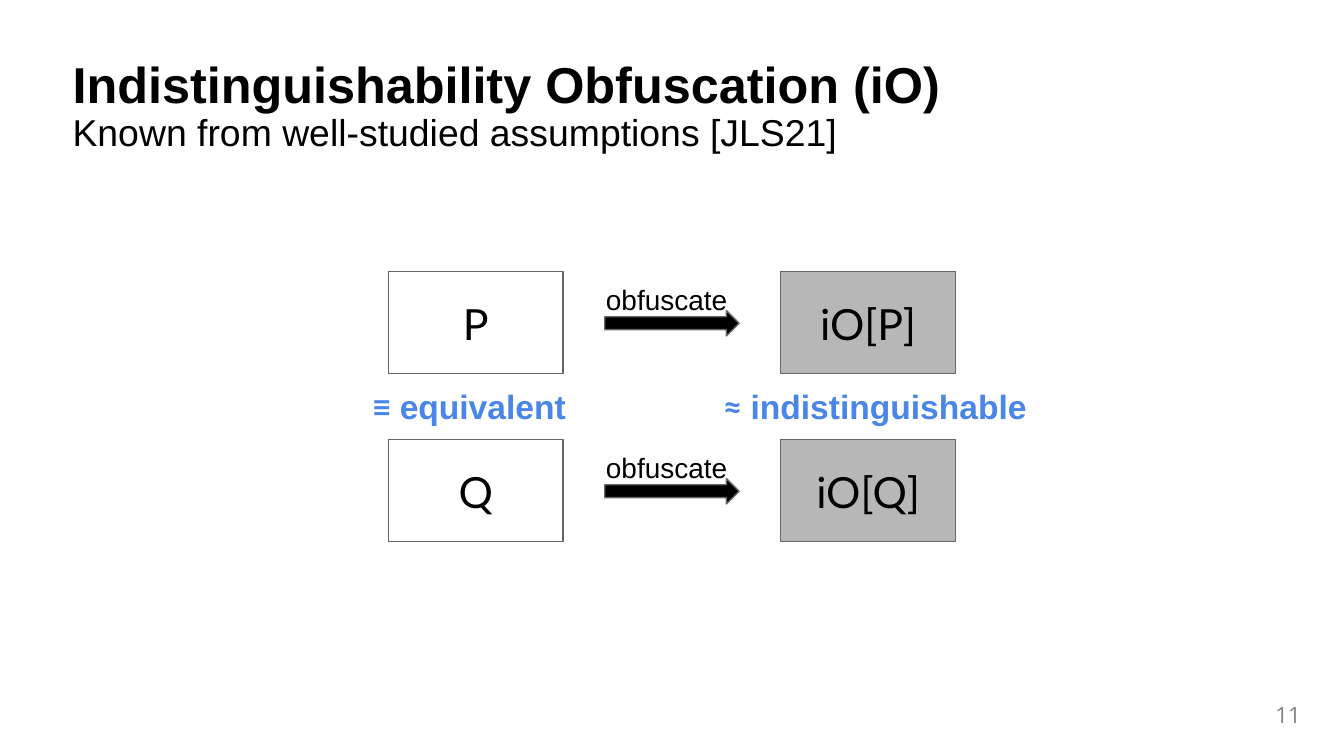
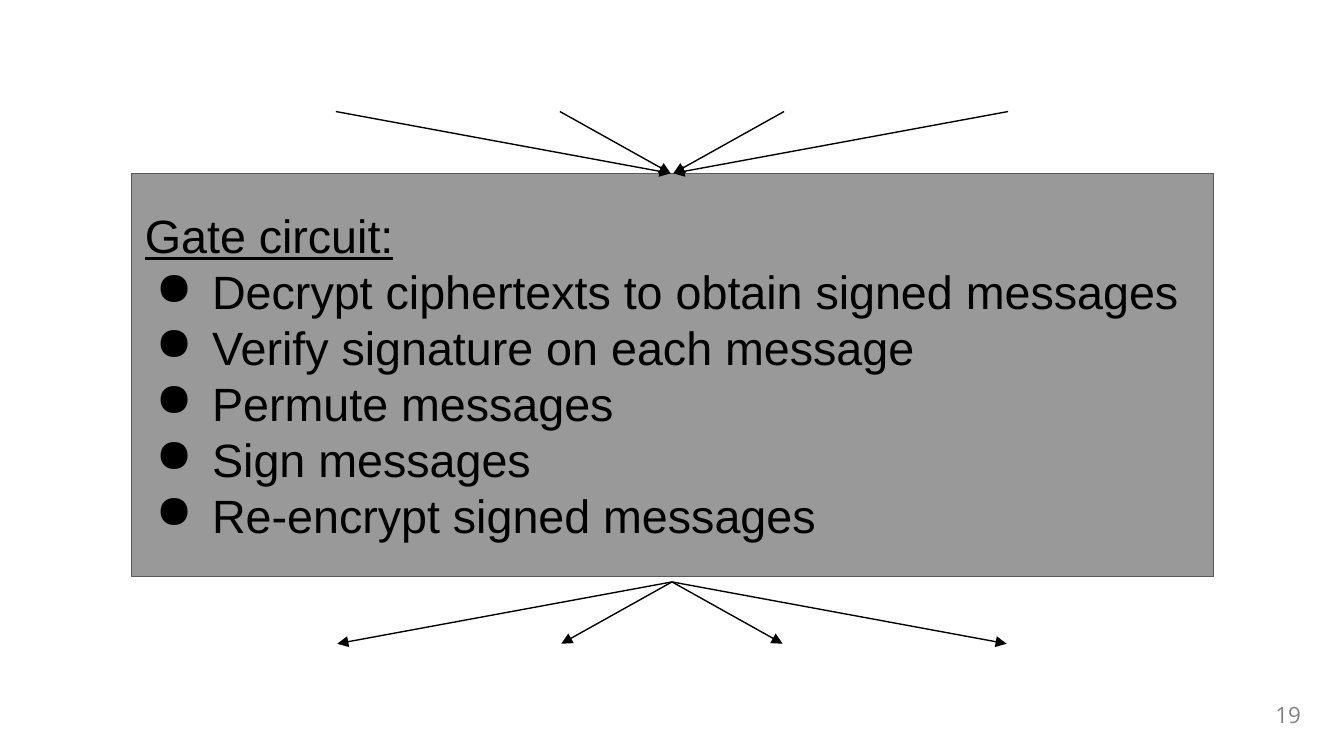
from dataclasses import dataclass

from lxml import etree
from pptx import Presentation
from pptx.dml.color import RGBColor
from pptx.enum.shapes import MSO_CONNECTOR, MSO_SHAPE
from pptx.enum.text import MSO_ANCHOR, PP_ALIGN
from pptx.oxml.ns import qn
from pptx.util import Inches, Pt

RECT, ARROW, STRAIGHT = MSO_SHAPE.RECTANGLE, MSO_SHAPE.RIGHT_ARROW, MSO_CONNECTOR.STRAIGHT
TOP, MIDDLE = MSO_ANCHOR.TOP, MSO_ANCHOR.MIDDLE
LEFT, CENTER, RIGHT = PP_ALIGN.LEFT, PP_ALIGN.CENTER, PP_ALIGN.RIGHT
COLUMNS, ROWS = 100, 56.25


@dataclass(frozen=True)
class Theme:
    """Colours, fonts and type sizes shared by the slides."""
    ink: str = "000000"
    accent: str = "4A86E8"
    muted: str = "828282"
    border: str = "666666"
    panel_border: str = "595959"
    obfuscated: str = "B7B7B7"
    panel: str = "999999"
    body_font: str = "Arial"
    label_font: str = "Lato"
    number_font: str = "Open Sans"
    title: float = 27
    panel_text: float = 25
    program: float = 23
    subtitle: float = 20
    relation: float = 18
    caption: float = 15
    number: float = 12
    stroke: float = 0.75


class Deck:
    """Holds the style and the current slide, measured in columns and rows."""

    def __init__(self, theme):
        self.theme = theme
        self.show = Presentation()
        self.show.slide_width, self.show.slide_height = Inches(10), Inches(5.625)
        self.slide = None

    def x(self, columns):
        return round(self.show.slide_width * columns / COLUMNS)

    def y(self, rows):
        return round(self.show.slide_height * rows / ROWS)

    def place(self, left, top, width, height):
        return self.x(left), self.y(top), self.x(width), self.y(height)

    def new_slide(self, number):
        self.slide = self.show.slides.add_slide(self.show.slide_layouts[6])
        page = self.text((94.3, 51.8, 2.9, 2.8), [str(number)], inset=0.04, align=RIGHT)
        self.style(page.paragraphs[0], self.theme.number, self.theme.number_font, self.theme.muted)

    def style(self, paragraph, size, font=None, color=None, bold=False, underline=False):
        for run in paragraph.runs:
            run.font.size = Pt(size)
            run.font.name = font or self.theme.body_font
            run.font.color.rgb = RGBColor.from_string(color or self.theme.ink)
            run.font.bold, run.font.underline = bold, underline

    def fill_frame(self, frame, lines, inset, align, anchor):
        frame.text = "\n".join(lines)
        frame.word_wrap, frame.vertical_anchor = True, anchor
        frame.margin_left = frame.margin_right = Inches(inset)
        frame.margin_top = frame.margin_bottom = Inches(inset)
        for paragraph in frame.paragraphs:
            paragraph.alignment = align
        return frame

    def text(self, box, lines, inset=0.1, align=CENTER, anchor=MIDDLE):
        frame = self.slide.shapes.add_textbox(*self.place(*box)).text_frame
        return self.fill_frame(frame, lines, inset, align, anchor)

    def shape(self, kind, box, fill=None, border=None):
        shape = self.slide.shapes.add_shape(kind, *self.place(*box))
        shape.shadow.inherit = False
        if fill:
            shape.fill.solid()
            shape.fill.fore_color.rgb = RGBColor.from_string(fill)
        else:
            shape.fill.background()
        shape.line.color.rgb = RGBColor.from_string(border or self.theme.border)
        shape.line.width = Pt(self.theme.stroke)
        return shape

    def heading(self, title, subtitle):
        frame = self.text((5, 3.6, 90, 8.8), [title, subtitle], inset=0.04, align=LEFT)
        for paragraph in frame.paragraphs:
            paragraph.line_spacing = 0.9
        self.style(frame.paragraphs[0], self.theme.title, bold=True)
        self.style(frame.paragraphs[1], self.theme.subtitle)

    def program(self, left, top, name, fill=None):
        self.shape(RECT, (left, top, 13, 7.6), fill)
        label = self.text((left + 0.4, top + 2, 12.2, 3.7), [name])
        self.style(label.paragraphs[0], self.theme.program, self.theme.label_font)

    def obfuscation(self, top, name):
        self.program(28.9, top, name)
        self.program(58.1, top, f"iO[{name}]", self.theme.obfuscated)
        self.shape(ARROW, (45, top + 2.9, 10, 1.9), self.theme.ink)
        caption = self.text((44.1, top - 0.2, 11.2, 3.6), ["obfuscate"], align=LEFT, anchor=TOP)
        self.style(caption.paragraphs[0], self.theme.caption)

    def relation(self, left, width, symbol, word):
        paragraph = self.text((left, 28.4, width, 3.7), [symbol + " "]).paragraphs[0]
        paragraph.add_run().text = word
        self.style(paragraph, self.theme.relation, color=self.theme.accent, bold=True)
        paragraph.runs[0].font.name = self.theme.label_font

    def bullet(self, paragraph):
        properties = paragraph._p.get_or_add_pPr()
        properties.set("marL", str(Inches(0.5)))
        properties.set("indent", str(Inches(-0.42)))
        color = etree.SubElement(properties, qn("a:buClr"))
        etree.SubElement(color, qn("a:srgbClr"), val=self.theme.ink)
        etree.SubElement(properties, qn("a:buChar"), char="●")

    def panel(self, box, heading, steps):
        frame = self.shape(RECT, box, self.theme.panel, self.theme.panel_border).text_frame
        self.fill_frame(frame, [heading, *steps], 0.1, LEFT, MIDDLE)
        first, *rest = frame.paragraphs
        self.style(first, self.theme.panel_text, underline=True)
        for paragraph in rest:
            self.style(paragraph, self.theme.panel_text)
            self.bullet(paragraph)

    def wire(self, start, end):
        ends = (self.x(start[0]), self.y(start[1]), self.x(end[0]), self.y(end[1]))
        wire = self.slide.shapes.add_connector(STRAIGHT, *ends)
        wire.line.color.rgb = RGBColor.from_string(self.theme.ink)
        wire.line.width = Pt(self.theme.stroke)
        etree.SubElement(wire.line._get_or_add_ln(), qn("a:tailEnd"), type="triangle")
        etree.SubElement(wire._element.spPr, qn("a:effectLst"))


def obfuscation_slide(deck):
    """Shows two equivalent programs and their obfuscations."""
    deck.new_slide(11)
    deck.heading("Indistinguishability Obfuscation (iO)",
                 "Known from well-studied assumptions [JLS21]")
    for row, name in enumerate("PQ"):
        deck.obfuscation(20.2 + 12.5 * row, name)
    deck.relation(26.4, 17, "≡", "equivalent")
    deck.relation(51.6, 27, "≈", "indistinguishable")


def gate_slide(deck):
    """Shows the gate circuit with its four inputs and outputs."""
    deck.new_slide(19)
    deck.panel((9.8, 12.9, 80.5, 30), "Gate circuit:", [
        "Decrypt ciphertexts to obtain signed messages",
        "Verify signature on each message",
        "Permute messages",
        "Sign messages",
        "Re-encrypt signed messages",
    ])
    middle, spacing, gap = 50, 16.67, 0.1
    for port in range(4):
        offset = (port - 1.5) * spacing
        inward = -gap if offset < 0 else gap
        deck.wire((middle + offset, 8.3), (middle + inward, 12.9))
        deck.wire((middle, 43.3), (middle + offset - inward, 47.9))


def main():
    """Builds and saves the deck."""
    deck = Deck(Theme())
    obfuscation_slide(deck)
    gate_slide(deck)
    deck.show.save("out.pptx")


if __name__ == "__main__":
    main()
